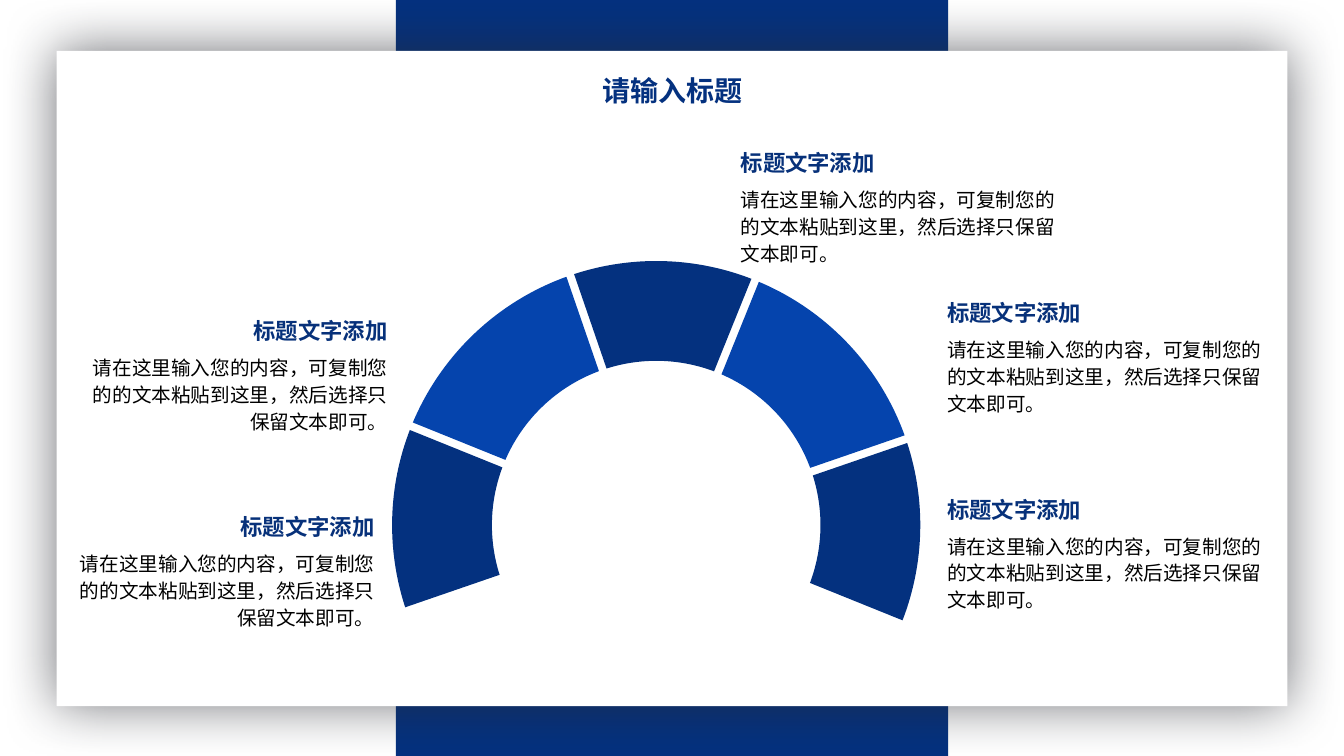
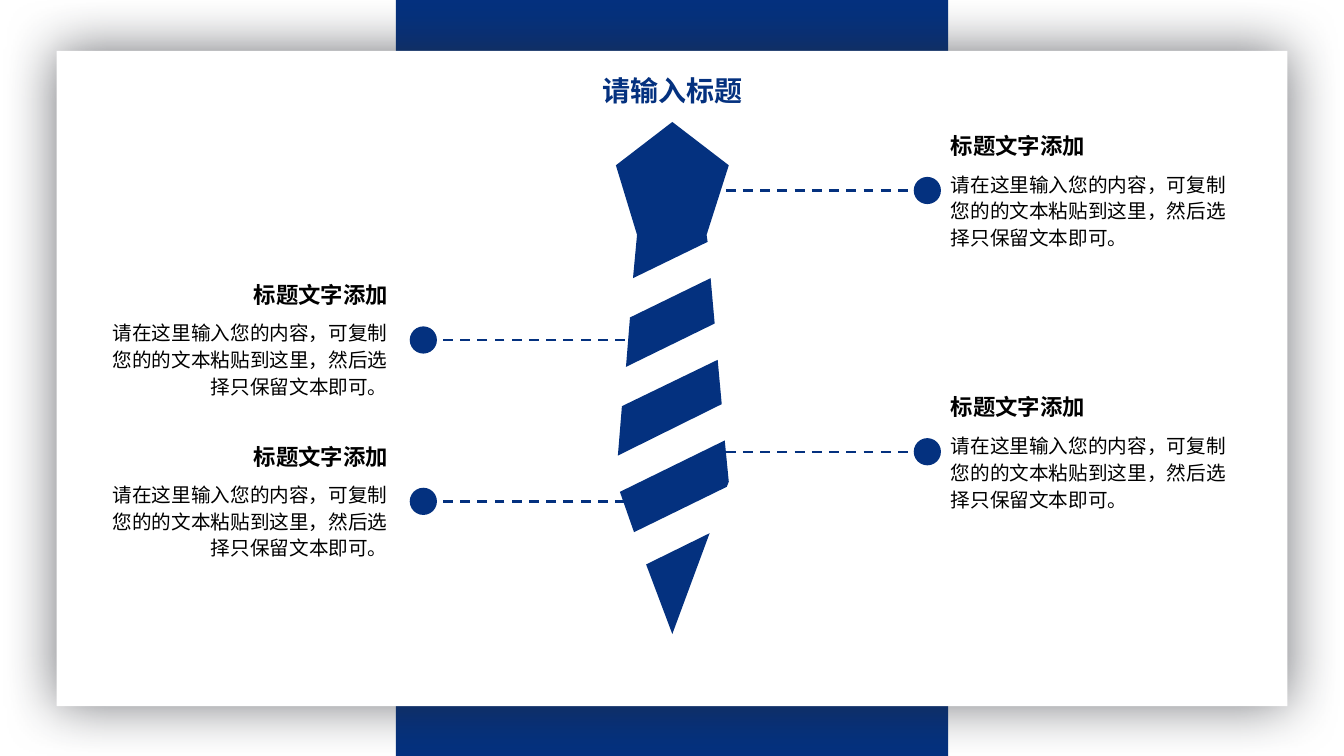
import math

import lxml.etree
import pptx
import pptx.dml.color
import pptx.enum.dml
import pptx.enum.shapes
import pptx.enum.text
import pptx.oxml.ns
import pptx.util

NAVY = pptx.dml.color.RGBColor(0x04, 0x31, 0x7F)
HEADING_NAVY = pptx.dml.color.RGBColor(0x07, 0x31, 0x7A)
BLUE = pptx.dml.color.RGBColor(0x05, 0x44, 0xAD)
WHITE = pptx.dml.color.RGBColor(0xFF, 0xFF, 0xFF)
BLACK = pptx.dml.color.RGBColor(0x00, 0x00, 0x00)
CJK_FONT = "Noto Sans CJK SC"

TITLE = "请输入标题"
HEADING = "标题文字添加"
BODY = "请在这里输入您的内容，可复制您的的文本粘贴到这里，然后选择只保留文本即可。"

# Square grid: 75 rows by 133.33 columns
ROWS, COLUMNS = 75, 133.33
CELL = pptx.util.Inches(7.5) / ROWS
LEFT = pptx.enum.text.PP_ALIGN.LEFT
RIGHT = pptx.enum.text.PP_ALIGN.RIGHT
RECTANGLE = pptx.enum.shapes.MSO_SHAPE.RECTANGLE
OVAL = pptx.enum.shapes.MSO_SHAPE.OVAL
qn = pptx.oxml.ns.qn


def cells(*lengths):
    return [round(length * CELL) for length in lengths]


def paint(shape, color):
    shape.shadow.inherit = False
    shape.fill.solid()
    shape.fill.fore_color.rgb = color
    shape.line.fill.background()


deck = pptx.Presentation()
deck.slide_width, deck.slide_height = cells(COLUMNS, ROWS)
layout = deck.slide_layouts[5]

# Shared band, card and title
slides = []
for number in range(2):
    slide = deck.slides.add_slide(layout)
    slides.append(slide)
    band = slide.shapes.add_shape(RECTANGLE, *cells((COLUMNS - 54.8) / 2, 0, 54.8, ROWS))
    paint(band, NAVY)
    card = slide.shapes.add_shape(RECTANGLE, *cells((COLUMNS - 122.1) / 2, 5.05, 122.1, 65))
    paint(card, WHITE)
    glow = lxml.etree.SubElement(
        card.element.spPr.find(qn("a:effectLst")), qn("a:outerShdw"),
        blurRad=str(pptx.util.Pt(40)), dist="0", dir="0", algn="ctr", rotWithShape="0")
    glow_color = lxml.etree.SubElement(glow, qn("a:srgbClr"), val="2A2C33")
    lxml.etree.SubElement(glow_color, qn("a:alpha"), val="65000")

    title = slide.shapes.title
    title.left, title.top, title.width, title.height = cells(51.13, 6.8, 31.2, 4.4)
    title.text_frame.text = TITLE
    title.text_frame.auto_size = pptx.enum.text.MSO_AUTO_SIZE.NONE
    title.text_frame.vertical_anchor = pptx.enum.text.MSO_ANCHOR.TOP
    line = title.text_frame.paragraphs[0]
    line.alignment = pptx.enum.text.PP_ALIGN.CENTER
    line.font.name, line.font.size, line.font.bold = "Calibri", pptx.util.Pt(20), True
    line.font.color.rgb = NAVY
    # Bring the title in front of the card
    slide.shapes.element.append(title.element)
arch_slide, tie_slide = slides

# Arch of five segments with parallel gaps, turned as a whole by TILT degrees
CENTER_X, CENTER_Y = cells(65.1, 52.1)
OUTER, INNER, HALF_GAP = cells(26.2, 16.3, 0.4)
TILT = 22
start = 139
for index, sweep in enumerate([41, 49, 41, 49, 41]):
    rim = []
    for radius, direction in ((OUTER, 1), (INNER, -1)):
        inset = math.degrees(math.asin(HALF_GAP / radius))
        ends = [math.radians(start + inset), math.radians(start + sweep - inset)][::direction]
        pull = 4 / 3 * math.tan((ends[1] - ends[0]) / 4)
        # Each arc: end, two control points, end
        for angle, reach in ((ends[0], 0), (ends[0], pull), (ends[1], -pull), (ends[1], 0)):
            rim.append((CENTER_X + radius * (math.cos(angle) - reach * math.sin(angle)),
                        CENTER_Y + radius * (math.sin(angle) + reach * math.cos(angle))))
    builder = arch_slide.shapes.build_freeform(*rim[0])
    builder.add_line_segments(rim[1:], close=True)
    segment = builder.convert_to_shape()
    paint(segment, BLUE if index % 2 else NAVY)

    # Turn the corners of both arcs into curves
    corners = list(segment.element.iter(qn("a:lnTo")))
    for first in (0, 4):
        curve = corners[first].makeelement(qn("a:cubicBezTo"), {})
        corners[first].addprevious(curve)
        for corner in corners[first:first + 3]:
            curve.append(corner[0])
            corner.getparent().remove(corner)

    # Swing the segment around the middle of the arch
    across = segment.left + segment.width / 2 - CENTER_X
    down = segment.top + segment.height / 2 - CENTER_Y
    cosine, sine = math.cos(math.radians(TILT)), math.sin(math.radians(TILT))
    segment.left = round(CENTER_X + across * cosine - down * sine - segment.width / 2)
    segment.top = round(CENTER_Y + across * sine + down * cosine - segment.height / 2)
    segment.rotation = TILT
    start += sweep

# Necktie: knot and stripes in one outline
stripes = [
    [(63.2, 23.3), (70.1, 23.3), (72.3, 16.4), (66.7, 12.1), (61.1, 16.4)],
    [(62.8, 27.6), (70.2, 24), (70.1, 23.3), (63.2, 23.3)],
    [(62.1, 36.4), (70.9, 32.1), (70.5, 27.6), (62.5, 31.5)],
    [(61.3, 45.2), (71.6, 40.1), (71.2, 35.7), (61.7, 40.3)],
    [(62.9, 52.8), (72.1, 48.3), (72.3, 47.8), (71.9, 43.7), (61.5, 48.8)],
    [(66.7, 62.9), (70.4, 52.9), (64.1, 56)],
]
builder = tie_slide.shapes.build_freeform(*cells(*stripes[0][0]))
for index, stripe in enumerate(stripes):
    if index:
        builder.move_to(*cells(*stripe[0]))
    builder.add_line_segments([cells(*point) for point in stripe[1:]], close=True)
paint(builder.convert_to_shape(), NAVY)

# Callouts: slide, left, top, width, body offset, alignment, heading font, colour
callouts = [
    (arch_slide, left, top, width, 3.5, align, CJK_FONT, HEADING_NAVY)
    for left, top, width, align in [
        (93, 29.2, 34.6, LEFT), (93, 48.7, 34.6, LEFT), (72.5, 14.34, 34.6, LEFT),
        (6.34, 31, 33.1, RIGHT), (6.25, 50.45, 31.9, RIGHT)]
]

# Dashed leaders and dots of the necktie
for level, tie_end, dot_end, dot_left, text_left, align in [
        (18.9, 72, 92.2, 90.65, 93.34, LEFT), (44.82, 72, 92.2, 90.65, 93.34, LEFT),
        (33.73, 62, 41.8, 40.65, 9.25, RIGHT), (49.74, 62, 41.8, 40.65, 9.25, RIGHT)]:
    leader = tie_slide.shapes.add_connector(
        pptx.enum.shapes.MSO_CONNECTOR.STRAIGHT, *cells(tie_end, level, dot_end, level))
    leader.line.color.rgb = NAVY
    leader.line.width = pptx.util.Pt(1.75)
    leader.line.dash_style = pptx.enum.dml.MSO_LINE.DASH
    lxml.etree.SubElement(leader.element.spPr, qn("a:effectLst"))
    dot = tie_slide.shapes.add_shape(OVAL, *cells(dot_left, level - 1.35, 2.7, 2.7))
    paint(dot, NAVY)
    drop = 3.7 if align == LEFT else 3.63
    callouts.append((tie_slide, text_left, level - 6.3, 30.2, drop, align, "Arial", BLACK))

# Heading and body of every callout
for slide, left, top, width, drop, align, heading_font, heading_color in callouts:
    for text, offset, height, size, bold, font, color, spacing in [
            (HEADING, 0, 3.7, 16, True, heading_font, heading_color, 1),
            (BODY, drop, 9.1, 14, False, CJK_FONT, BLACK, 1.14)]:
        frame = slide.shapes.add_textbox(*cells(left, top + offset, width, height)).text_frame
        frame.word_wrap = True
        frame.text = text
        paragraph = frame.paragraphs[0]
        paragraph.alignment = align
        paragraph.line_spacing = spacing
        paragraph.font.name = font
        paragraph.font.size = pptx.util.Pt(size)
        paragraph.font.bold = bold
        paragraph.font.color.rgb = color

# East Asian typeface for all text
for slide in slides:
    for latin in slide.shapes.element.iter(qn("a:latin")):
        latin.addnext(latin.makeelement(qn("a:ea"), {"typeface": CJK_FONT}))

deck.save("out.pptx")
